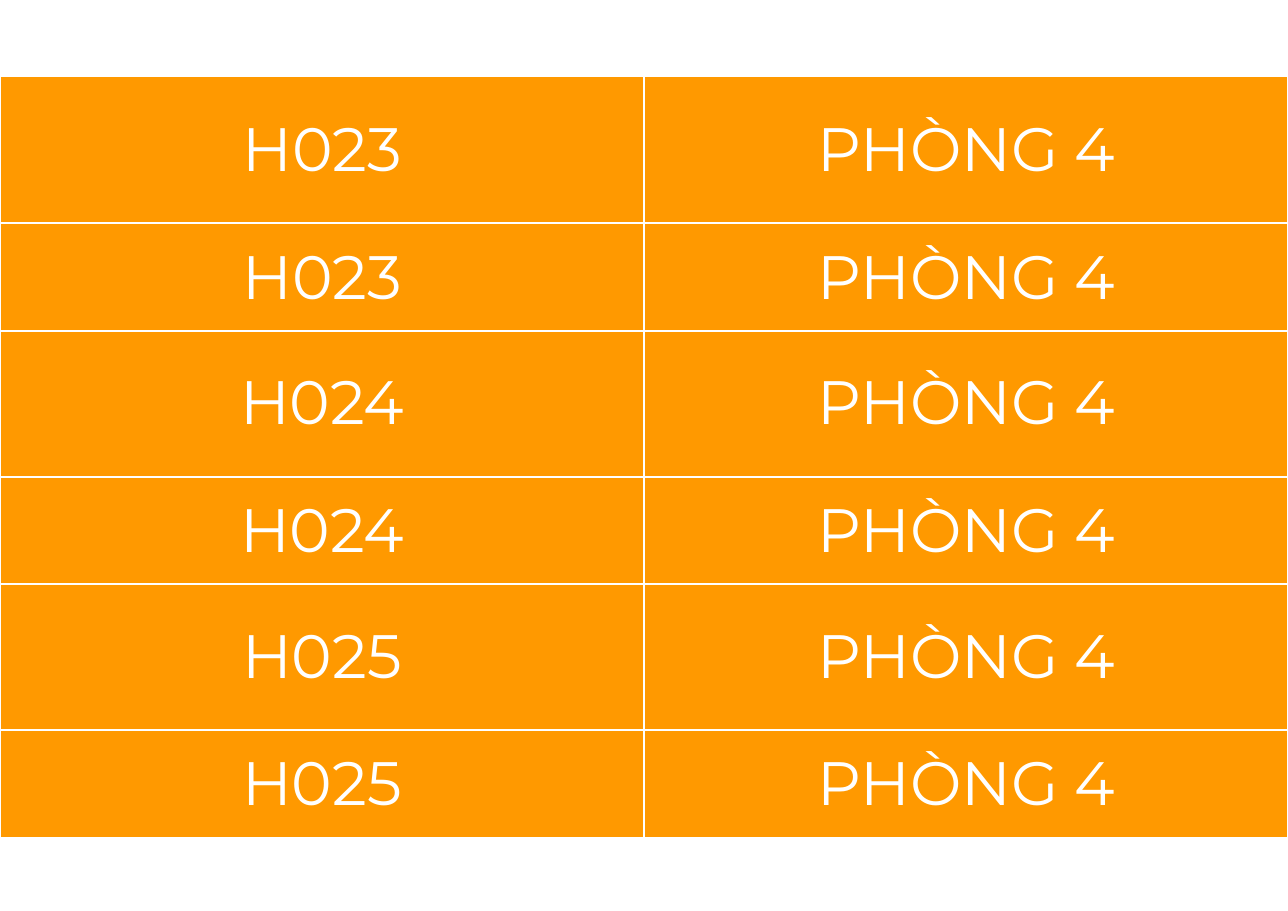
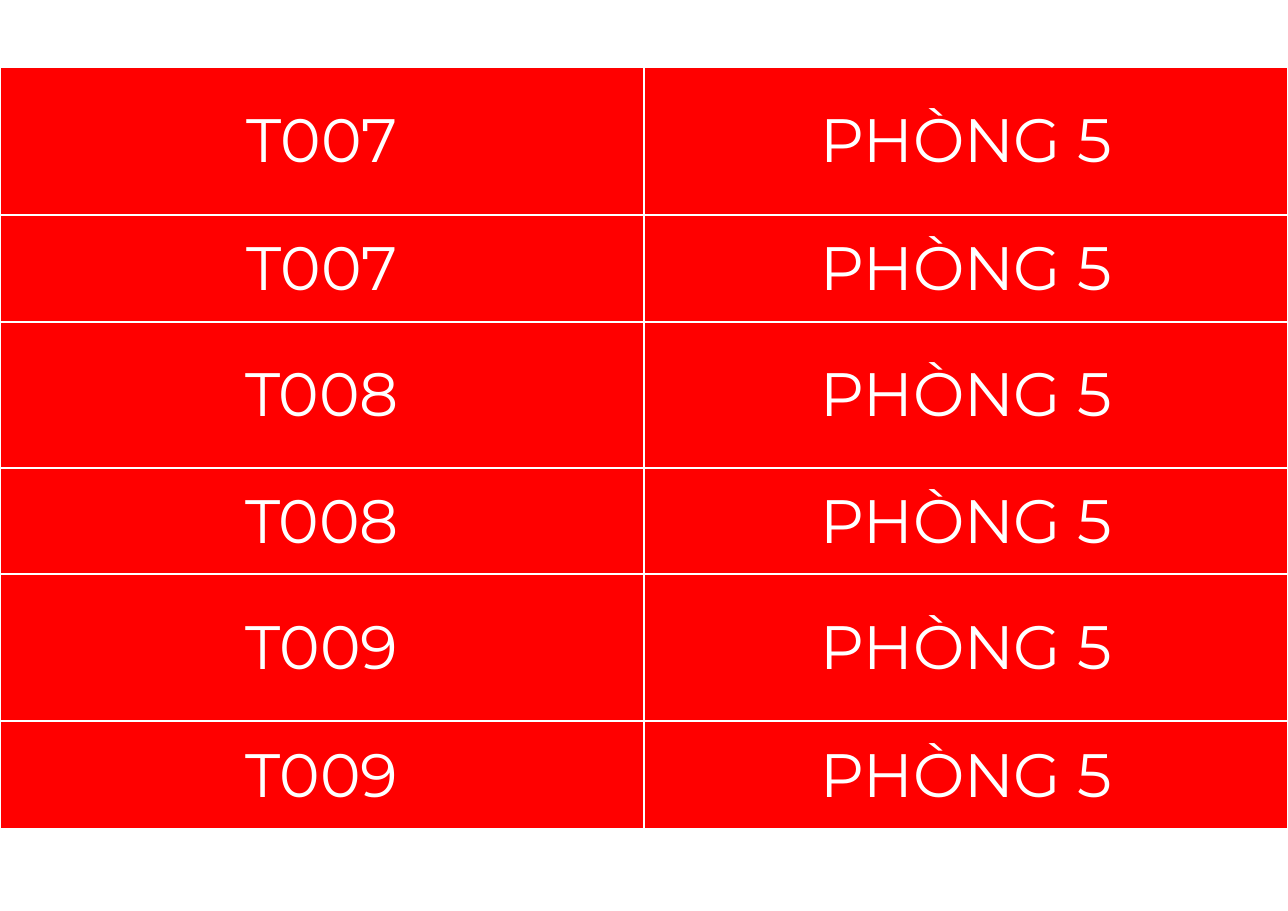
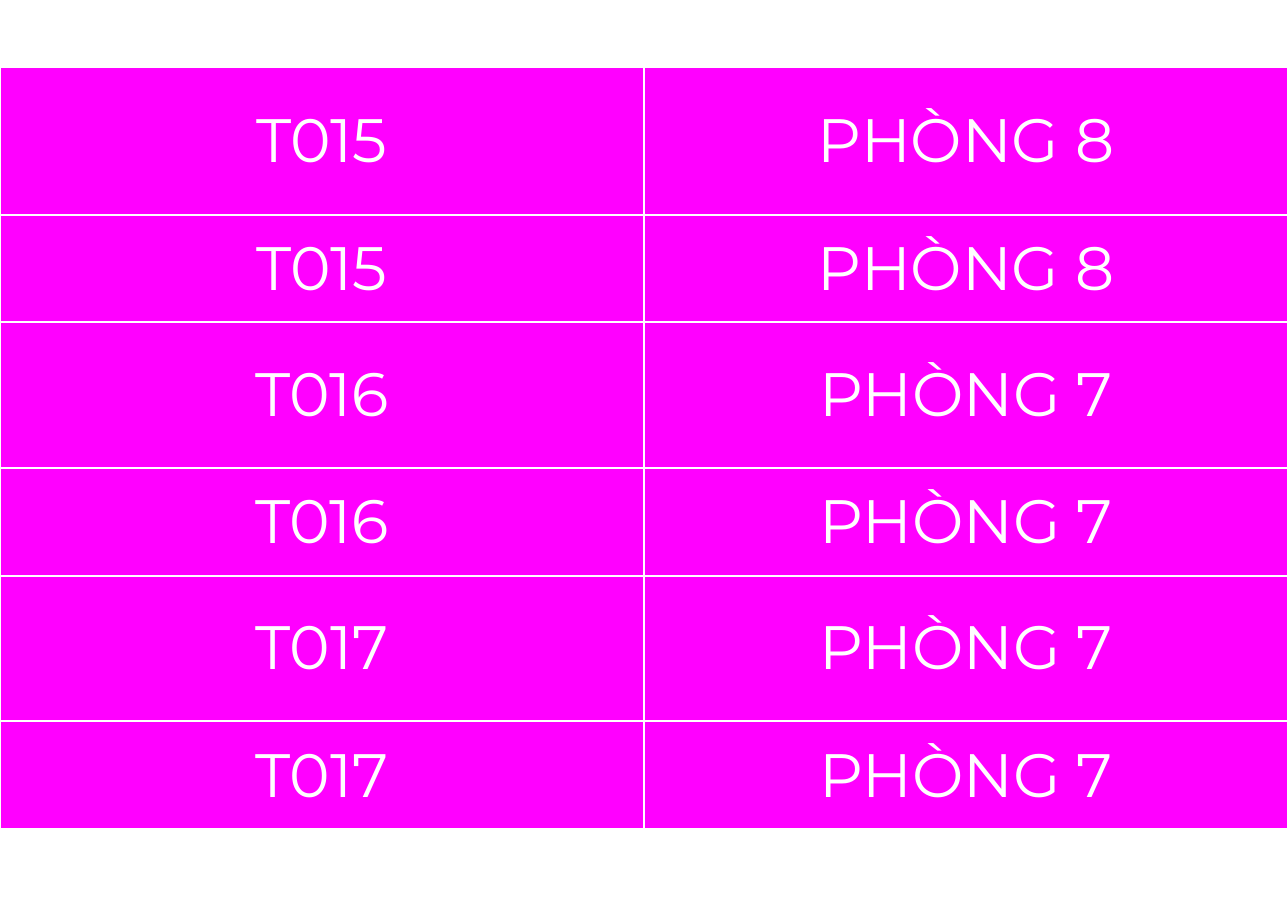
from dataclasses import dataclass

from lxml.etree import SubElement as Sub
from pptx import Presentation as Deck
from pptx.dml.color import RGBColor as Rgb
from pptx.enum.text import MSO_VERTICAL_ANCHOR as Anchor, PP_PARAGRAPH_ALIGNMENT as Align
from pptx.oxml.ns import qn
from pptx.slide import Slide
from pptx.table import _Cell as Cell
from pptx.util import Cm, Pt

COLORS = {"white": "FFFFFF", "orange": "FF9900", "red": "FF0000", "pink": "FF00FF"}
FONT = "Montserrat"
SIZE = Pt(40)
EDGE = Pt(1.5)
WIDE, TALL = Cm(29.7), Cm(21)
PAD_X, PAD_Y = Cm(0.3), Cm(0.38)
HIGH, LOW = Cm(3.4), Cm(2.39)
STEP = Cm(5.84)


@dataclass(frozen=True)
class Team:
    """A code and its room, shown twice in one slot counted from the top."""
    slot: int
    code: str
    room: str


@dataclass(frozen=True)
class Page:
    color: str
    top: Cm
    teams: tuple[Team, ...]


# Teams are listed from back to front.
PAGES = (
    Page("orange", Cm(1.75), (
        Team(2, "H025", "PHÒNG 4"),
        Team(1, "H024", "PHÒNG 4"),
        Team(0, "H023", "PHÒNG 4"),
    )),
    Page("red", Cm(1.55), (
        Team(1, "T008", "PHÒNG 5"),
        Team(0, "T007", "PHÒNG 5"),
        Team(2, "T009", "PHÒNG 5"),
    )),
    Page("pink", Cm(1.55), (
        Team(2, "T017", "PHÒNG 7"),
        Team(1, "T016", "PHÒNG 7"),
        Team(0, "T015", "PHÒNG 8"),
    )),
)


def add_edges(cell: Cell) -> None:
    props = cell._tc.get_or_add_tcPr()
    for side in ("lnL", "lnR", "lnT", "lnB"):
        line = Sub(props, qn(f"a:{side}"), w=str(EDGE))
        fill = Sub(line, qn("a:solidFill"))
        Sub(fill, qn("a:srgbClr"), val=COLORS["white"])


def fill_cell(cell: Cell, text: str, color: str) -> None:
    add_edges(cell)
    cell.fill.solid()
    cell.fill.fore_color.rgb = Rgb.from_string(COLORS[color])
    cell.margin_left = cell.margin_right = PAD_X
    cell.margin_top = cell.margin_bottom = PAD_Y
    cell.vertical_anchor = Anchor.MIDDLE
    para = cell.text_frame.paragraphs[0]
    para.text = text
    para.alignment = Align.CENTER
    font = para.runs[0].font
    font.name, font.size = FONT, SIZE
    font.color.rgb = Rgb.from_string(COLORS["white"])


def add_label(slide: Slide, team: Team, color: str, top: int, height: int) -> None:
    """Add a one-row table with the code on the left and the room on the right."""
    table = slide.shapes.add_table(1, 2, 0, top, WIDE, height).table
    table.first_row = table.horz_banding = False
    for cell, text in zip(table.iter_cells(), (team.code, team.room)):
        fill_cell(cell, text, color)


def add_page(deck: Deck, page: Page) -> None:
    slide = deck.slides.add_slide(deck.slide_layouts[6])
    for team in page.teams:
        top = page.top + team.slot * STEP
        add_label(slide, team, page.color, top, HIGH)
        add_label(slide, team, page.color, top + HIGH, LOW)


def main() -> None:
    deck = Deck()
    deck.slide_width, deck.slide_height = WIDE, TALL
    for page in PAGES:
        add_page(deck, page)
    deck.save("out.pptx")


if __name__ == "__main__":
    main()
